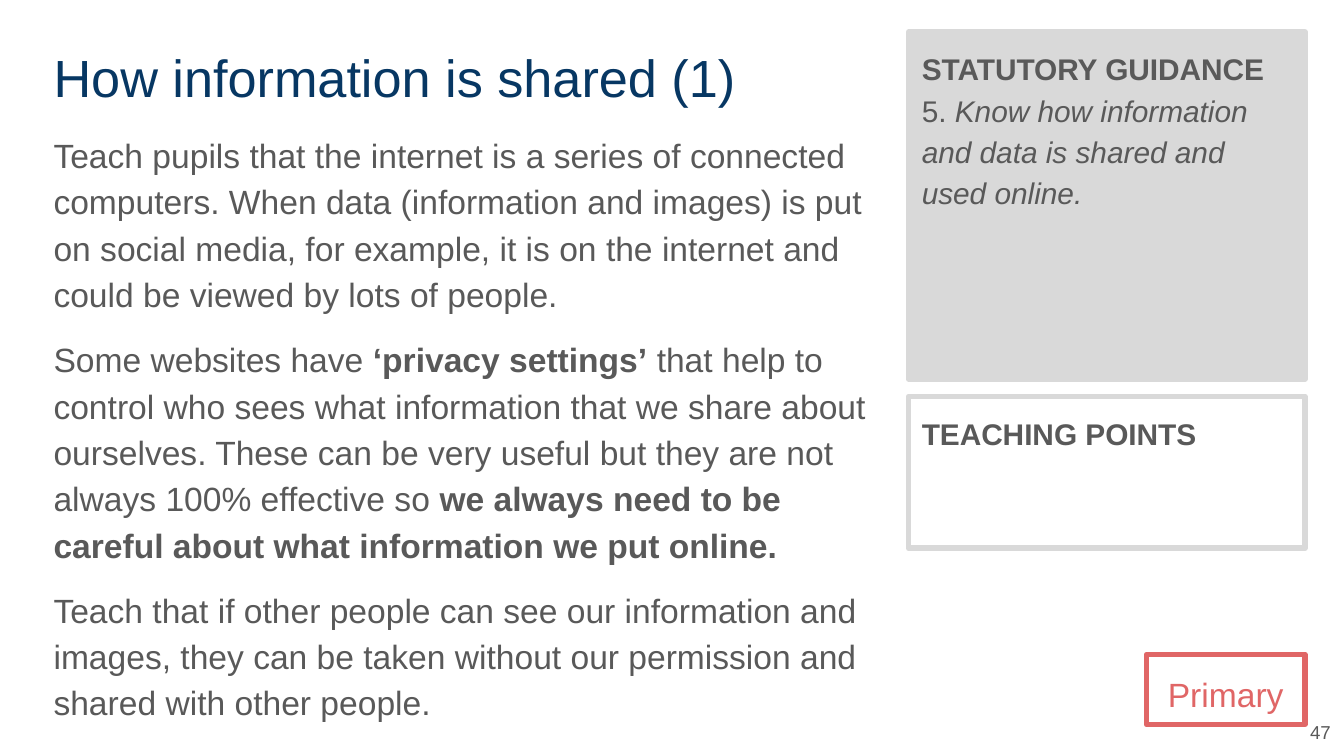
from pptx import Presentation
from pptx.dml.color import RGBColor
from pptx.enum.shapes import MSO_SHAPE as Shape
from pptx.enum.text import MSO_ANCHOR as Anchor, PP_ALIGN as Align
from pptx.util import Inches, Pt

NAVY, GREY, SILVER, CORAL = "073763", "595959", "D9D9D9", "E06666"
LEFT, TEXT_WIDTH = 0.3, 6.41
PANEL_LEFT, PANEL_WIDTH = 6.76, 2.95

# Widescreen page, 16:9
deck = Presentation()
deck.slide_width = Inches(10)
deck.slide_height = Inches(10 * 9 / 16)
page = deck.slides.add_slide(deck.slide_layouts[6])


def add_box(left, top, width, height, line=None, fill=None):
    """Add a plain text box, or a rectangle when a line colour is given."""
    place = [Inches(value) for value in (left, top, width, height)]
    if line:
        box = page.shapes.add_shape(Shape.RECTANGLE, *place)
        box.shadow.inherit = False
        box.line.color.rgb = RGBColor.from_string(line)
        box.line.width = Pt(3)
        if fill:
            box.fill.solid()
            box.fill.fore_color.rgb = RGBColor.from_string(fill)
        else:
            box.fill.background()
    else:
        box = page.shapes.add_textbox(*place)
    frame = box.text_frame
    frame.word_wrap = True
    frame.vertical_anchor = Anchor.TOP
    frame.margin_left = frame.margin_right = Inches(0.1)
    frame.margin_top = frame.margin_bottom = Inches(0.1)
    return frame


def write(para, spans, size, color=GREY, align=Align.LEFT, spacing=1.15):
    """Fill a paragraph with (text, style) spans; style is "", "b" or "i"."""
    para.alignment = align
    para.line_spacing = spacing
    para.font.name = "Arial"
    para.font.size = Pt(size)
    para.font.color.rgb = RGBColor.from_string(color)
    for text, style in spans:
        if text == "\n":
            para.add_line_break()
            continue
        span = para.add_run()
        span.text = text
        if style == "b":
            span.font.bold = True
        elif style == "i":
            span.font.italic = True


# Title
title = add_box(LEFT, 0.24, TEXT_WIDTH, 0.63)
write(title.paragraphs[0], [("How information is shared (1)", "")], 28, NAVY, spacing=1.0)

# Body text
body_paragraphs = [
    [("Teach pupils that the internet is a series of connected computers. "
      "When data (information and images) is put on social media, for example, "
      "it is on the internet and could be viewed by lots of people.", "")],
    [("Some websites have ", ""),
     ("‘privacy settings’", "b"),
     (" that help to control who sees what information that we share about "
      "ourselves. These can be very useful but they are not always 100% "
      "effective so ", ""),
     ("we always need to be careful about what information we put online.", "b")],
    [("Teach that if other people can see our information and images, they can "
      "be taken without our permission and shared with other people.", "")],
]
body = add_box(LEFT, 0.86, TEXT_WIDTH, 4.01)
for index, spans in enumerate(body_paragraphs):
    para = body.add_paragraph() if index else body.paragraphs[0]
    write(para, spans, 18)
    para.space_before = Pt(10 if index else 0)

# Page number
number = add_box(9.61, 5.26, 0.39, 0.37)
number.vertical_anchor = Anchor.MIDDLE
write(number.paragraphs[0], [("47", "")], 10, align=Align.RIGHT, spacing=1.0)

# Side panels
guidance = add_box(PANEL_LEFT, 0.24, PANEL_WIDTH, 2.58, SILVER, SILVER)
write(guidance.paragraphs[0], [
    ("STATUTORY GUIDANCE", "b"),
    ("\n", ""),
    ("5. ", ""),
    ("Know how information and data is shared and used online.", "i"),
], 16)
teaching = add_box(PANEL_LEFT, 2.95, PANEL_WIDTH, 1.13, SILVER)
write(teaching.paragraphs[0], [("TEACHING POINTS", "b")], 16)

# School stage tag
stage = add_box(8.53, 4.87, 1.18, 0.52, CORAL)
write(stage.paragraphs[0], [("Primary", "")], 18, CORAL, Align.CENTER)

deck.save("out.pptx")
